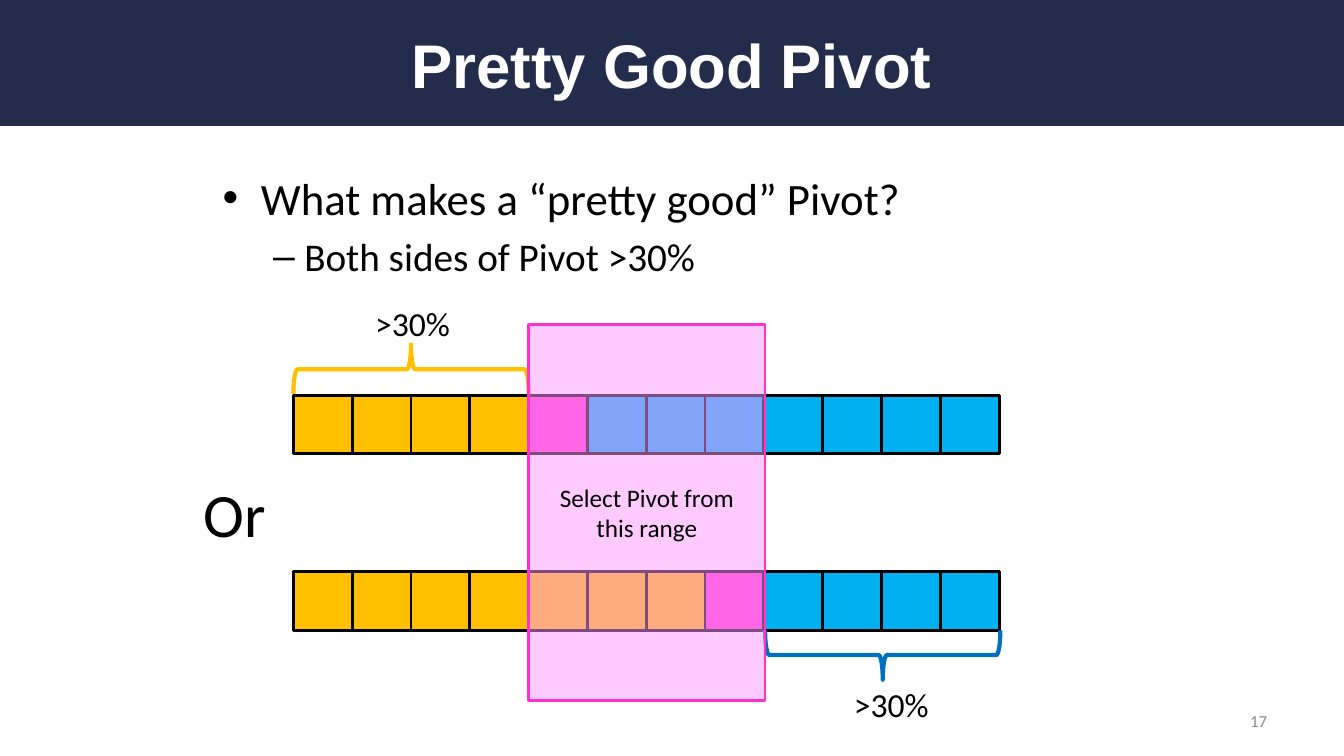
"""Build the "Pretty Good Pivot" slide: two partitioned arrays and their shared pivot range."""
from dataclasses import dataclass
from typing import Optional

from lxml.etree import SubElement
from pptx import Presentation
from pptx.dml.color import RGBColor
from pptx.enum.shapes import MSO_SHAPE as SHAPE
from pptx.enum.text import MSO_ANCHOR as ANCHOR, MSO_AUTO_SIZE as AUTO, PP_ALIGN as ALIGN
from pptx.oxml.ns import qn
from pptx.util import Inches, Pt

WIDTH, HEIGHT = 13.33, 7.5
LEFT, TOP, CELL = 2.91, 3.92, 7 / 12
COLORS = {
    "navy": "232D4B", "white": "FFFFFF", "black": "000000", "gray": "8C8C8C",
    "amber": "FFC000", "pink": "FF33CC", "sky": "00B0F0", "blue": "0070C0", "rose": "FF99FF",
}


@dataclass
class Box:
    """A rectangle in inches."""
    x: float
    y: float
    w: float
    h: float

    def emu(self) -> tuple:
        return tuple(Inches(v) for v in (self.x, self.y, self.w, self.h))


@dataclass
class Row:
    """An array row with its count of smaller and larger cells around one pivot."""
    row: float
    smaller: int
    larger: int


@dataclass
class Brace:
    """A brace spanning four cells, centred on a grid point."""
    col: float
    row: float
    rotation: int
    color: str


@dataclass
class Text:
    """A text box with one paragraph."""
    box: Box
    text: str
    size: int
    color: str = "black"
    font: str = "Calibri"
    bold: bool = False
    align: ALIGN = ALIGN.LEFT
    anchor: ANCHOR = ANCHOR.MIDDLE
    wrap: bool = True


@dataclass
class Bullet:
    """A bulleted paragraph with its indents in inches."""
    text: str
    mark: str
    size: int
    margin: float
    hanging: float
    before: float


def share(x: float, y: float, w: float, h: float) -> Box:
    """Return a box given in percent of the slide's size."""
    return Box(x * WIDTH / 100, y * HEIGHT / 100, w * WIDTH / 100, h * HEIGHT / 100)


def grid(col: float, row: float, w: float = 1, h: float = 1) -> Box:
    """Return a box given in columns and rows of the array grid."""
    return Box(LEFT + col * CELL, TOP + row * CELL, w * CELL, h * CELL)


def rgb(name: str) -> RGBColor:
    """Look up a named colour."""
    return RGBColor.from_string(COLORS[name])


def style(p, size: float, color: str, font: str = "Calibri", bold: bool = False) -> None:
    """Format every run of a paragraph."""
    for r in p.runs:
        r.font.size, r.font.name, r.font.bold = Pt(size), font, bold
        r.font.color.rgb = rgb(color)


def add_shape(shapes, kind: SHAPE, box: Box, fill: Optional[str], line: Optional[str],
              width: float = 2):
    """Add a flat shape with an optional fill and line."""
    sp = shapes.add_shape(kind, *box.emu())
    sp.shadow.inherit = False
    if fill:
        sp.fill.solid()
        sp.fill.fore_color.rgb = rgb(fill)
    else:
        sp.fill.background()
    if line:
        sp.line.color.rgb = rgb(line)
        sp.line.width = Pt(width)
    else:
        sp.line.fill.background()
    return sp


def add_text(shapes, item: Text) -> None:
    """Add a one-paragraph text box."""
    tf = shapes.add_textbox(*item.box.emu()).text_frame
    tf.word_wrap = item.wrap
    tf.auto_size = AUTO.NONE if item.wrap else AUTO.SHAPE_TO_FIT_TEXT
    tf.vertical_anchor = item.anchor
    tf.text = item.text
    p = tf.paragraphs[0]
    p.alignment = item.align
    style(p, item.size, item.color, item.font, item.bold)


def add_bullets(shapes, box: Box, bullets: list[Bullet]) -> None:
    """Add a text box of bulleted paragraphs."""
    tf = shapes.add_textbox(*box.emu()).text_frame
    tf.word_wrap = True
    tf.vertical_anchor = ANCHOR.MIDDLE
    for i, bullet in enumerate(bullets):
        p = tf.add_paragraph() if i else tf.paragraphs[0]
        p.text = bullet.text
        p.level = i
        p.space_before = Pt(bullet.before)
        pPr = p._p.get_or_add_pPr()
        pPr.set("marL", str(Inches(bullet.margin)))
        pPr.set("indent", str(-Inches(bullet.hanging)))
        SubElement(pPr, qn("a:buFont"), typeface="Arial")
        SubElement(pPr, qn("a:buChar"), char=bullet.mark)
        style(p, bullet.size, "black")


def add_row(shapes, row: Row) -> None:
    """Add one array as a group of cells."""
    cells = shapes.add_group_shape().shapes
    colors = ["amber"] * row.smaller + ["pink"] + ["sky"] * row.larger
    for col, color in enumerate(colors):
        add_shape(cells, SHAPE.RECTANGLE, grid(col, row.row), color, "black")


def add_brace(shapes, brace: Brace) -> None:
    """Add a right brace turned to lie along a row."""
    w, h = 0.84, 4
    box = grid(brace.col - w / 2, brace.row - h / 2, w, h)
    add_shape(shapes, SHAPE.RIGHT_BRACE, box, None, brace.color, 3).rotation = brace.rotation


def add_pivot_range(shapes) -> None:
    """Add the translucent range that both arrays share."""
    sp = add_shape(shapes, SHAPE.RECTANGLE, grid(4, -1.2, 4.02, 6.4), "rose", "pink")
    color = sp._element.spPr.find(qn("a:solidFill")).find(qn("a:srgbClr"))
    SubElement(color, qn("a:alpha"), val="50000")
    tf = sp.text_frame
    tf.word_wrap = True
    tf.vertical_anchor = ANCHOR.MIDDLE
    tf.text = "Select Pivot from this range"
    tf.paragraphs[0].alignment = ALIGN.CENTER
    style(tf.paragraphs[0], 18, "black")


BULLETS = [
    Bullet("What makes a “pretty good” Pivot?", "•", 32, 0.38, 0.38, 0),
    Bullet("Both sides of Pivot >30%", "–", 28, 0.81, 0.31, 5.6),
]
ROWS = [Row(0, 4, 7), Row(3, 7, 4)]
BRACES = [Brace(2, -0.44, 270, "amber"), Brace(10.02, 4.42, 90, "blue")]
TEXTS = [
    Text(share(5, 2.27, 90, 12.27), "Pretty Good Pivot", 44, "white", "Arial", True, ALIGN.CENTER),
    Text(share(71.7, 92.67, 23.33, 5.33), "17", 12, "gray", align=ALIGN.RIGHT),
    Text(grid(-1.7, 1.29, 1.42, 1.44), "Or", 44, anchor=ANCHOR.TOP, wrap=False),
    Text(grid(1.22, -1.65, 1.63, 0.86), ">30%", 24, anchor=ANCHOR.TOP, wrap=False),
    Text(grid(9.36, 4.83, 1.63, 0.86), ">30%", 24, anchor=ANCHOR.TOP, wrap=False),
]


def main() -> None:
    """Draw the slide and save it."""
    prs = Presentation()
    prs.slide_width, prs.slide_height = Inches(WIDTH), Inches(HEIGHT)
    shapes = prs.slides.add_slide(prs.slide_layouts[6]).shapes
    add_shape(shapes, SHAPE.RECTANGLE, share(0, 0, 100, 16.67), "navy", None)
    add_bullets(shapes, share(15.83, 19.2, 67.5, 21.07), BULLETS)
    for row in ROWS:
        add_row(shapes, row)
    for brace in BRACES:
        add_brace(shapes, brace)
    for item in TEXTS:
        add_text(shapes, item)
    add_pivot_range(shapes)
    prs.save("out.pptx")


if __name__ == "__main__":
    main()
